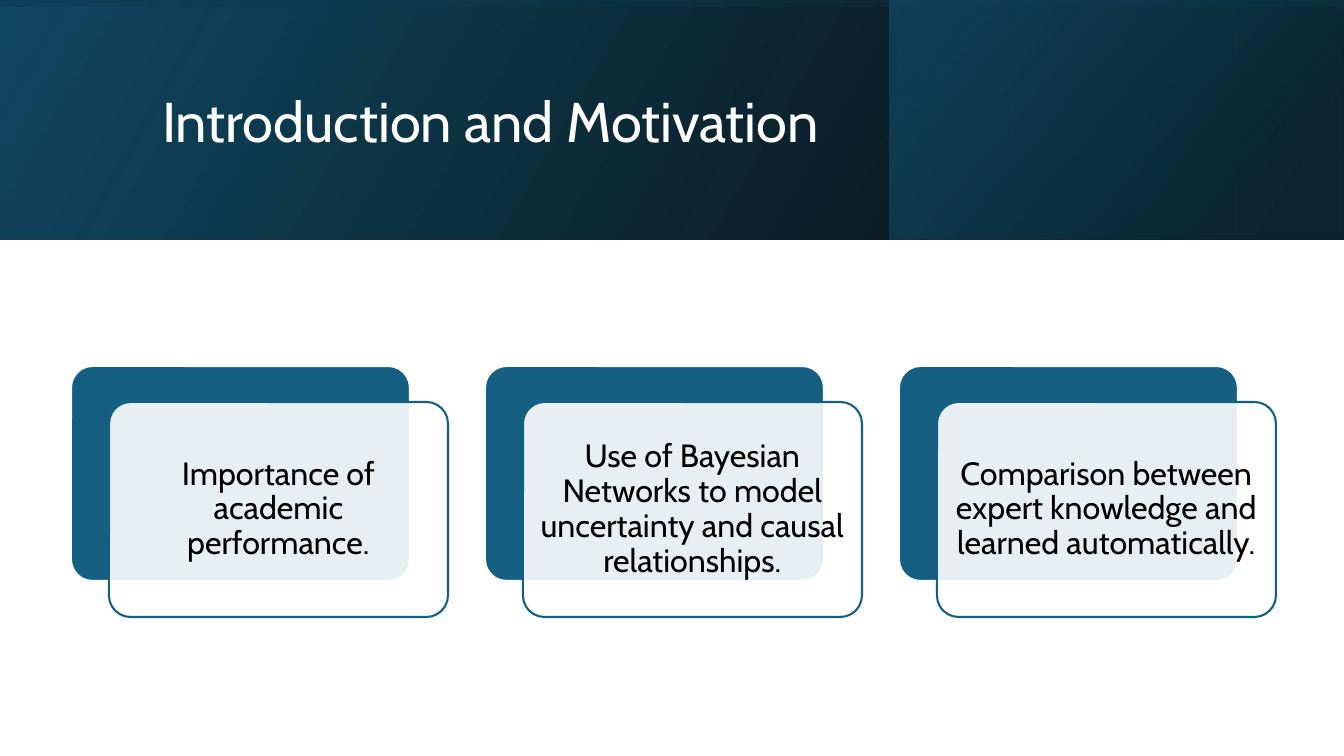
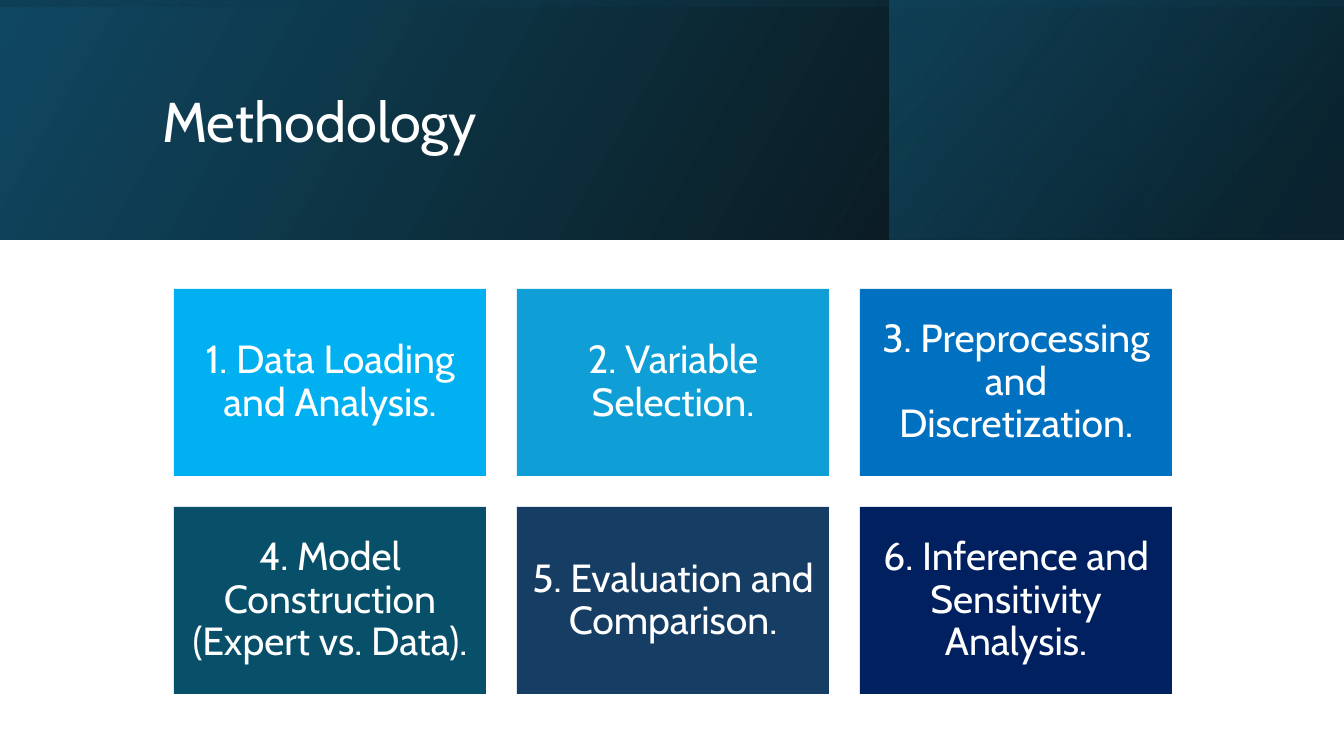
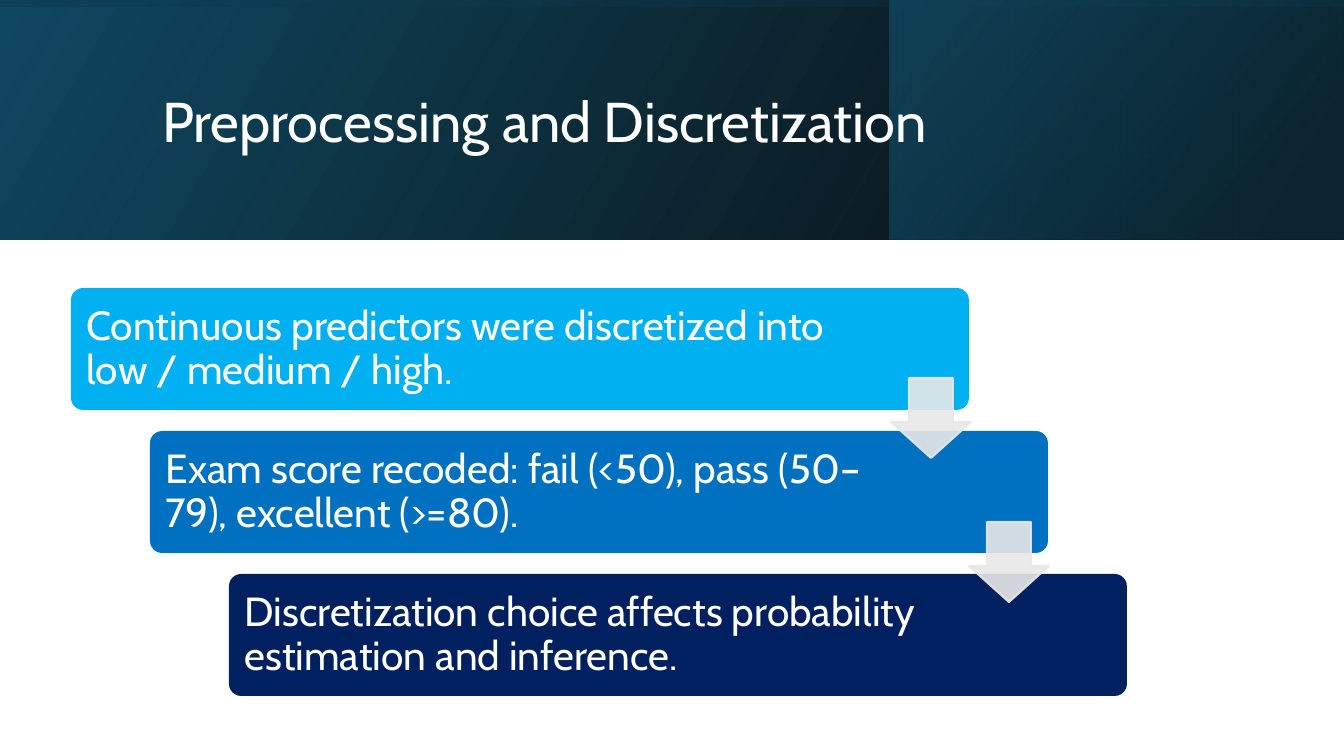
from dataclasses import dataclass
from typing import Optional

from lxml import etree
from pptx import Presentation
from pptx import util as u
from pptx.dml.color import RGBColor
from pptx.enum import shapes, text
from pptx.oxml.ns import qn

SLIDE_W, SLIDE_H = 1344, 756
EMU_PER_PX = 12192000 / SLIDE_W
FONT = "Cabin"
COLORS = {
    "white": "FFFFFF",
    "black": "000000",
    "teal": "156082",
    "deep_teal": "104862",
    "dark_teal": "0B3041",
    "sky": "00B0F0",
    "cyan": "0F9ED5",
    "blue": "0070C0",
    "petrol": "084F6A",
    "slate": "163E64",
    "navy": "002060",
    "grey": "E8E8E8",
}
SHAPE = shapes.MSO_SHAPE
ALIGN = text.PP_ALIGN


@dataclass(frozen=True)
class Rect:
    x: int
    y: int
    w: int
    h: int

    def moved(self, dx: int, dy: int) -> "Rect":
        return Rect(self.x + dx, self.y + dy, self.w, self.h)

    def emu(self) -> tuple:
        return px(self.x), px(self.y), px(self.w), px(self.h)


@dataclass(frozen=True)
class Stop:
    position: float
    color: str
    alpha: int = 100


@dataclass(frozen=True)
class Band:
    rect: Rect
    angle: int
    stops: tuple
    rotation: int = 0


@dataclass(frozen=True)
class Label:
    text: str
    size: int
    color: str = "white"
    align: ALIGN = ALIGN.CENTER
    inset: int = 12
    right_inset: Optional[int] = None


@dataclass(frozen=True)
class Step:
    text: str
    color: str
    right_inset: int = 12


BANDS = (
    Band(Rect(0, 0, SLIDE_W, 240), 330,
         (Stop(0, "black", 96), Stop(1, "deep_teal"))),
    Band(Rect(890, 0, 453, 240), 320,
         (Stop(0.19, "dark_teal", 68), Stop(1, "teal", 48))),
    Band(Rect(552, -552, 240, SLIDE_W), 350,
         (Stop(0.23, "deep_teal", 16), Stop(0.99, "black", 45)), 270),
)
TITLE = Rect(152, 38, 1072, 173)

MOTIVATIONS = (
    "Importance of academic performance.",
    "Use of Bayesian Networks to model uncertainty and causal relationships.",
    "Comparison between expert knowledge and learned automatically.",
)
METHODS = (
    Step("1. Data Loading and Analysis.", "sky"),
    Step("2. Variable Selection.", "cyan"),
    Step("3. Preprocessing and Discretization.", "blue"),
    Step("4. Model Construction (Expert vs. Data).", "petrol"),
    Step("5. Evaluation and Comparison.", "slate"),
    Step("6. Inference and Sensitivity Analysis.", "navy"),
)
STAIRS = (
    Step("Continuous predictors were discretized into low / medium / high.",
         "sky", 137),
    Step("Exam score recoded: fail (<50), pass (50–79), excellent (>=80).",
         "blue", 170),
    Step("Discretization choice affects probability estimation and inference.",
         "navy", 170),
)


def px(value: int) -> u.Emu:
    return u.Emu(round(value * EMU_PER_PX))


def rgb(name: str) -> RGBColor:
    return RGBColor.from_string(COLORS[name])


def fade(sp, *alphas: int) -> None:
    for color, alpha in zip(sp._element.spPr.iter(qn("a:srgbClr")), alphas):
        etree.SubElement(color, qn("a:alpha")).set("val", str(alpha * 1000))


def format_text(tf, size: int, color: str, align: ALIGN) -> None:
    tf.word_wrap = True
    tf.vertical_anchor = text.MSO_ANCHOR.MIDDLE
    p = tf.paragraphs[0]
    p.alignment = align
    p.line_spacing = 0.9
    for r in p.runs:
        r.font.name = FONT
        r.font.size = u.Pt(size)
        r.font.color.rgb = rgb(color)


def add_box(s, kind: SHAPE, rect: Rect, fill: str, line: Optional[str] = None,
            adj: tuple = (), label: Optional[Label] = None):
    sp = s.shapes.add_shape(kind, *rect.emu())
    sp.shadow.inherit = False
    sp.fill.solid()
    sp.fill.fore_color.rgb = rgb(fill)
    if line:
        sp.line.color.rgb = rgb(line)
        sp.line.width = u.Pt(1.5)
    else:
        sp.line.fill.background()
    for i, value in enumerate(adj):
        sp.adjustments[i] = value
    if label:
        tf = sp.text_frame
        tf.text = label.text
        tf.margin_left = tf.margin_top = tf.margin_bottom = px(label.inset)
        tf.margin_right = px(label.right_inset or label.inset)
        format_text(tf, label.size, label.color, label.align)
    return sp


def add_band(s, band: Band) -> None:
    sp = add_box(s, SHAPE.RECTANGLE, band.rect, band.stops[0].color)
    sp.rotation = band.rotation
    sp._element.spPr.find(qn("a:xfrm")).set("flipH", "1")
    sp.fill.gradient()
    sp.fill.gradient_angle = 360 - band.angle
    for gradient_stop, stop in zip(sp.fill.gradient_stops, band.stops):
        gradient_stop.position = stop.position
        gradient_stop.color.rgb = rgb(stop.color)
    fade(sp, *(stop.alpha for stop in band.stops))


def add_slide(prs, heading: str):
    s = prs.slides.add_slide(prs.slide_layouts[5])
    for band in BANDS:
        add_band(s, band)
    title = s.shapes.title
    title.left, title.top, title.width, title.height = TITLE.emu()
    title.text_frame.text = heading
    format_text(title.text_frame, 40, "white", ALIGN.LEFT)
    s.shapes._spTree.append(title._element)
    return s


def build_motivation(prs) -> None:
    s = add_slide(prs, "Introduction and Motivation")
    first = Rect(71, 366, 339, 215)
    for i, words in enumerate(MOTIVATIONS):
        back = first.moved(414 * i, 0)
        add_box(s, SHAPE.ROUNDED_RECTANGLE, back, "teal", "white", (0.1,))
        card = add_box(s, SHAPE.ROUNDED_RECTANGLE, back.moved(38, 36), "white",
                       "teal", (0.1,), Label(words, 23, "black", inset=10))
        fade(card, 90)


def build_methodology(prs) -> None:
    s = add_slide(prs, "Methodology")
    first, gap, columns = Rect(174, 289, 312, 187), 31, 3
    for i, step in enumerate(METHODS):
        row, col = divmod(i, columns)
        cell = first.moved(col * (first.w + gap), row * (first.h + gap))
        add_box(s, SHAPE.RECTANGLE, cell, step.color,
                label=Label(step.text, 28))


def build_preprocessing(prs) -> None:
    s = add_slide(prs, "Preprocessing and Discretization")
    first, arrow = Rect(71, 288, 898, 122), Rect(891, 378, 80, 80)
    for i, step in enumerate(STAIRS):
        label = Label(step.text, 29, align=ALIGN.LEFT,
                      right_inset=step.right_inset)
        add_box(s, SHAPE.ROUNDED_RECTANGLE, first.moved(79 * i, 143 * i),
                step.color, adj=(0.1,), label=label)
    for i in range(len(STAIRS) - 1):
        sp = add_box(s, SHAPE.DOWN_ARROW, arrow.moved(78 * i, 144 * i),
                     "grey", "grey", (0.55, 0.45))
        fade(sp, 90, 90)


def main() -> None:
    prs = Presentation()
    prs.slide_width, prs.slide_height = px(SLIDE_W), px(SLIDE_H)
    build_motivation(prs)
    build_methodology(prs)
    build_preprocessing(prs)
    prs.save("out.pptx")


if __name__ == "__main__":
    main()
